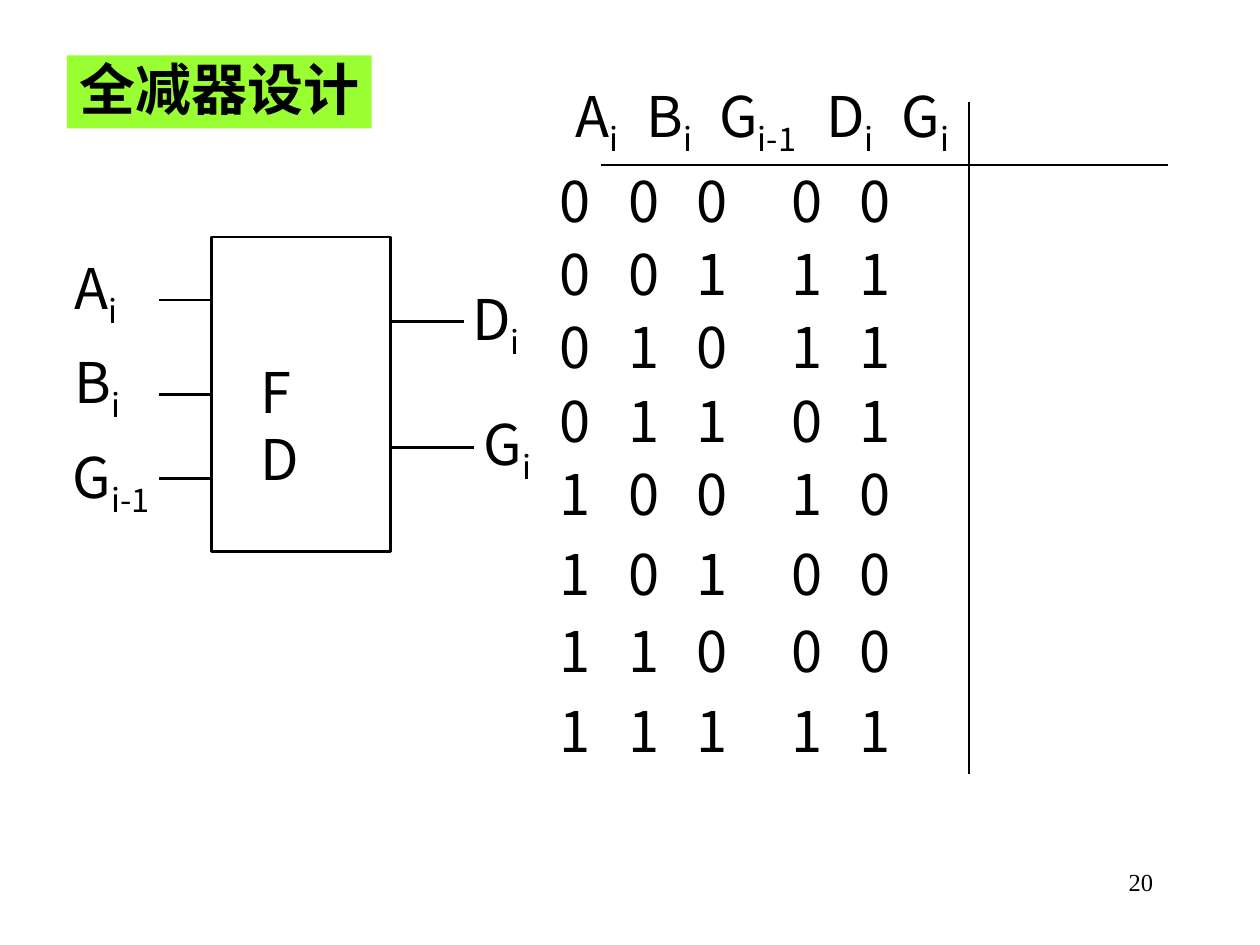
"""Build the full subtractor slide: block symbol on the left, truth table on the right."""
import pptx
import pptx.dml.color
import pptx.enum.shapes
import pptx.enum.text
import pptx.oxml.ns
import pptx.util
from lxml import etree

BLACK = pptx.dml.color.RGBColor(0x00, 0x00, 0x00)
LIME = pptx.dml.color.RGBColor(0x99, 0xFF, 0x33)
COLUMNS, ROWS = 100, 75
SLIDE_WIDTH, SLIDE_HEIGHT = pptx.util.Inches(10), pptx.util.Inches(7.5)
LINE_WIDTH = pptx.util.Pt(1.5)
BODY = {"name": "Noto Sans CJK SC", "size": pptx.util.Pt(32), "bold": False}
HEADING = {**BODY, "bold": True}
NUMBER = {"name": "Times New Roman", "size": pptx.util.Pt(14), "bold": False}

HEADER = [("A", "i"), ("B", "i"), ("G", "i-1"), ("D", "i"), ("G", "i")]
HEADER_TABS = [5.6, 11.4, 19.9, 25.9]
TRUTH_ROWS = ["00000", "00111", "01011", "01101",
              "10010", "10100", "11000", "11111"]
TRUTH_TOPS = [12.7, 18.5, 24.3, 30.2, 36, 42.3, 48.4, 54.8]
TRUTH_TABS = [5.5, 10.9, 18.4, 23.8]
PIN_LABELS = [
    ("A", "i", 4.9, 19.6, 6.2),
    ("B", "i", 4.9, 27.1, 6.2),
    ("G", "i-1", 4.8, 34.6, 9.3),
    ("D", "i", 36.5, 22.1, 6.2),
    ("G", "i", 37.4, 32, 6.2),
]


def across(columns):
    """Return the length of a number of grid columns."""
    return round(SLIDE_WIDTH * columns / COLUMNS)


def down(rows):
    """Return the length of a number of grid rows."""
    return round(SLIDE_HEIGHT * rows / ROWS)


def place(left, top, width, height):
    """Return a grid rectangle as slide lengths."""
    return across(left), down(top), across(width), down(height)


def add_run(paragraph, words, style, subscript=False):
    """Append a styled run to a paragraph."""
    run = paragraph.add_run()
    run.text = words
    for attribute, value in style.items():
        setattr(run.font, attribute, value)
    run.font.color.rgb = BLACK
    properties = run.font._element if hasattr(run.font, "_element") else run._r.get_or_add_rPr()
    east_asian = etree.SubElement(properties, pptx.oxml.ns.qn("a:ea"))
    east_asian.set("typeface", style["name"])
    if subscript:
        properties.set("baseline", "-25000")


def set_tabs(paragraph, stops):
    """Give a paragraph left tab stops at grid columns."""
    tab_list = etree.SubElement(paragraph._p.get_or_add_pPr(), pptx.oxml.ns.qn("a:tabLst"))
    for stop in stops:
        etree.SubElement(tab_list, pptx.oxml.ns.qn("a:tab"), pos=str(across(stop)), algn="l")


def add_symbols(slide, symbols, area, stops=(), style=BODY):
    """Add one line of symbols with optional subscripts, spread over tab stops."""
    frame = slide.shapes.add_textbox(*place(*area)).text_frame
    frame.word_wrap = True
    line = frame.paragraphs[0]
    if stops:
        set_tabs(line, stops)
    for index, (letter, subscript) in enumerate(symbols):
        add_run(line, "\t" + letter if index else letter, style)
        if subscript:
            add_run(line, subscript, style, subscript=True)
    return line


def add_line(slide, start, end):
    """Add a black straight line between two grid points."""
    line = slide.shapes.add_connector(
        pptx.enum.shapes.MSO_CONNECTOR.STRAIGHT,
        across(start[0]), down(start[1]), across(end[0]), down(end[1]))
    line.line.color.rgb = BLACK
    line.line.width = LINE_WIDTH
    etree.SubElement(line._element.spPr, pptx.oxml.ns.qn("a:effectLst"))
    return line


def add_rectangle(slide, area):
    """Add a rectangle without shadow."""
    rectangle = slide.shapes.add_shape(
        pptx.enum.shapes.MSO_SHAPE.RECTANGLE, *place(*area))
    rectangle.shadow.inherit = False
    return rectangle


def add_title(slide):
    """Add the heading on its lime band."""
    band = add_rectangle(slide, (5.3, 4.4, 24.2, 5.8))
    band.fill.solid()
    band.fill.fore_color.rgb = LIME
    band.line.fill.background()
    band.text_frame.word_wrap = False
    band.text_frame.vertical_anchor = pptx.enum.text.MSO_ANCHOR.TOP
    heading = band.text_frame.paragraphs[0]
    heading.alignment = pptx.enum.text.PP_ALIGN.LEFT
    heading.line_spacing = 0.9
    add_run(heading, "全减器设计", HEADING)


def add_subtractor(slide):
    """Add the block symbol with its pins and labels."""
    block = add_rectangle(slide, (16.8, 18.8, 14.2, 25))
    block.fill.background()
    block.line.color.rgb = BLACK
    block.line.width = LINE_WIDTH
    add_line(slide, (16.8, 23.8), (12.6, 23.8))
    add_line(slide, (16.8, 31.3), (12.6, 31.3)).begin_connect(block, 1)
    add_line(slide, (16.8, 38), (12.6, 38))
    add_line(slide, (31, 25.5), (36.8, 25.5))
    add_line(slide, (31, 35.5), (37.6, 35.5))
    add_symbols(slide, [("FD", "")], (19.7, 27.9, 7.3, 6.4))
    for letter, subscript, left, top, width in PIN_LABELS:
        add_symbols(slide, [(letter, subscript)], (left, top, width, 7.1))


def add_truth_table(slide):
    """Add the ruled header and the rows of bits."""
    add_line(slide, (47.7, 13.1), (92.7, 13.1))
    add_line(slide, (76.9, 8.1), (76.9, 61.4))
    add_symbols(slide, HEADER, (44.7, 6, 50.9, 7.1), HEADER_TABS)
    for bits, top in zip(TRUTH_ROWS, TRUTH_TOPS):
        add_symbols(slide, [(bit, "") for bit in bits],
                    (43.4, top, 52.9, 6.4), TRUTH_TABS)


def main():
    """Build and save the slide."""
    deck = pptx.Presentation()
    deck.slide_width, deck.slide_height = SLIDE_WIDTH, SLIDE_HEIGHT
    slide = deck.slides.add_slide(deck.slide_layouts[6])
    page = add_symbols(slide, [("20", "")], (71.7, 68.3, 20.8, 5), style=NUMBER)
    page.alignment = pptx.enum.text.PP_ALIGN.RIGHT
    add_title(slide)
    add_subtractor(slide)
    add_truth_table(slide)
    deck.save("out.pptx")


if __name__ == "__main__":
    main()
